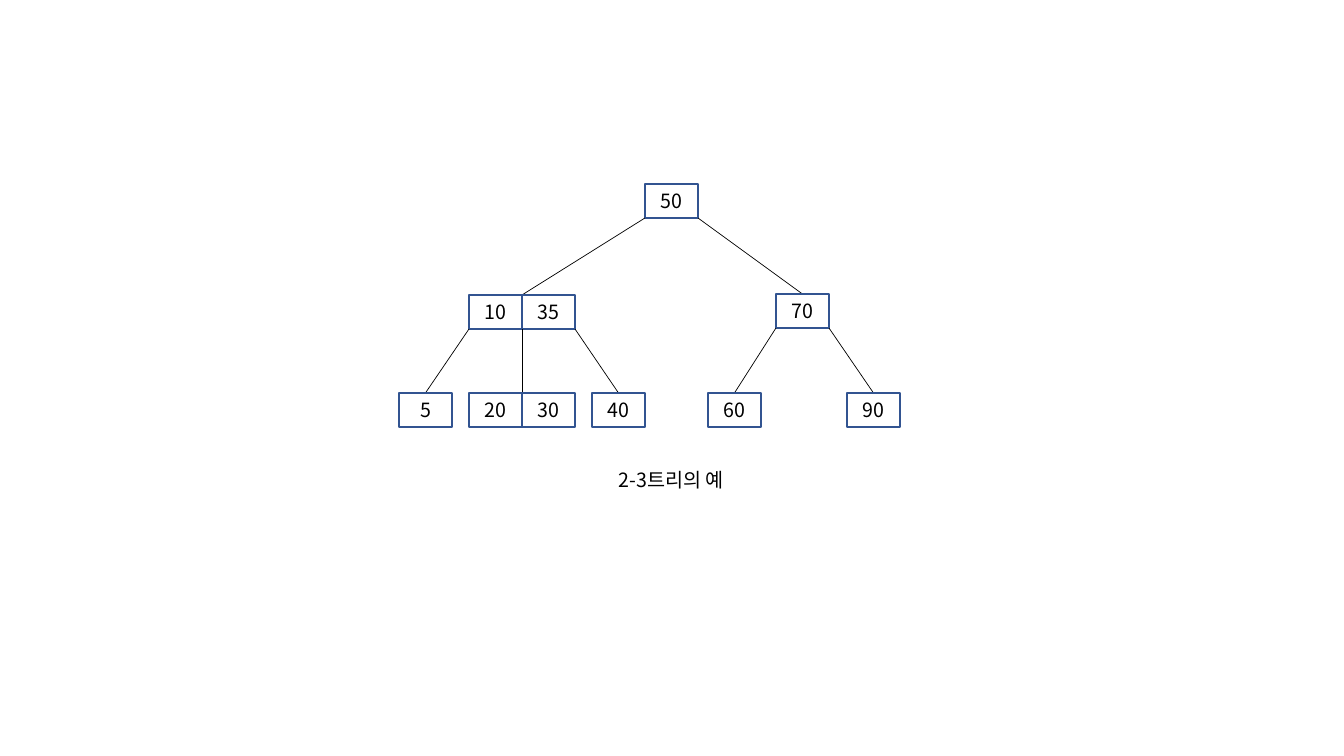
import pptx
import pptx.dml.color
import pptx.enum.shapes
import pptx.enum.text
import pptx.oxml.ns
import pptx.util
from lxml import etree

PX = 914400 / 100.8
CELL_W, CELL_H = 53, 34
FONT = "Noto Sans CJK KR"
COLORS = {"text": "000000", "edge": "000000", "border": "325491"}

# Each node: keys, left and top within the tree box, children from left to right.
TREE = (["50"], 246, 0, [
    (["10", "35"], 70, 111, [
        (["5"], 0, 209, []),
        (["20", "30"], 70, 209, []),
        (["40"], 193, 209, []),
    ]),
    (["70"], 377, 110, [
        (["60"], 309, 209, []),
        (["90"], 448, 209, []),
    ]),
])


def emu(px):
    return pptx.util.Emu(round(px * PX))


def rgb(name):
    return pptx.dml.color.RGBColor.from_string(COLORS[name])


def write_centered(tf, text):
    tf.word_wrap = True
    p = tf.paragraphs[0]
    p.alignment = pptx.enum.text.PP_ALIGN.CENTER
    r = p.add_run()
    r.text = text
    r.font.size = pptx.util.Pt(14)
    r.font.color.rgb = rgb("text")
    r.font.name = FONT
    east_asian = etree.SubElement(r.font._element, pptx.oxml.ns.qn("a:ea"))
    east_asian.set("typeface", FONT)


def add_key(s, key, x, y):
    sp = s.shapes.add_shape(pptx.enum.shapes.MSO_SHAPE.RECTANGLE,
                            emu(x), emu(y), emu(CELL_W), emu(CELL_H))
    sp.shadow.inherit = False
    sp.fill.background()
    sp.line.color.rgb = rgb("border")
    sp.line.width = pptx.util.Pt(1)
    sp.text_frame.vertical_anchor = pptx.enum.text.MSO_ANCHOR.MIDDLE
    write_centered(sp.text_frame, key)


def add_edge(s, x1, y1, x2, y2):
    line = s.shapes.add_connector(pptx.enum.shapes.MSO_CONNECTOR.STRAIGHT,
                                  emu(x1), emu(y1), emu(x2), emu(y2))
    line.line.color.rgb = rgb("edge")
    line.line.width = pptx.util.Pt(0.5)
    etree.SubElement(line._element.spPr, pptx.oxml.ns.qn("a:effectLst"))


def add_tree(s, node, left, top):
    """Draw a node and its subtrees; edge i leaves from the i-th cell boundary."""
    keys, x, y, children = node
    for i, key in enumerate(keys):
        add_key(s, key, left + x + i * CELL_W, top + y)
    for i, child in enumerate(children):
        child_keys, child_x, child_y, _ = child
        add_edge(s, left + x + i * CELL_W, top + y + CELL_H,
                 left + child_x + len(child_keys) * CELL_W / 2, top + child_y)
        add_tree(s, child, left, top)


def add_caption(s, left, top, width, height):
    tb = s.shapes.add_textbox(emu(left), emu(top), emu(width), emu(height))
    write_centered(tb.text_frame, "2-3트리의 예")


def main():
    prs = pptx.Presentation()
    prs.slide_width, prs.slide_height = emu(1344), emu(756)
    s = prs.slides.add_slide(prs.slide_layouts[6])
    add_caption(s, 290, 463, 763, 34)
    add_tree(s, TREE, 399, 184)
    prs.save("out.pptx")


if __name__ == "__main__":
    main()
